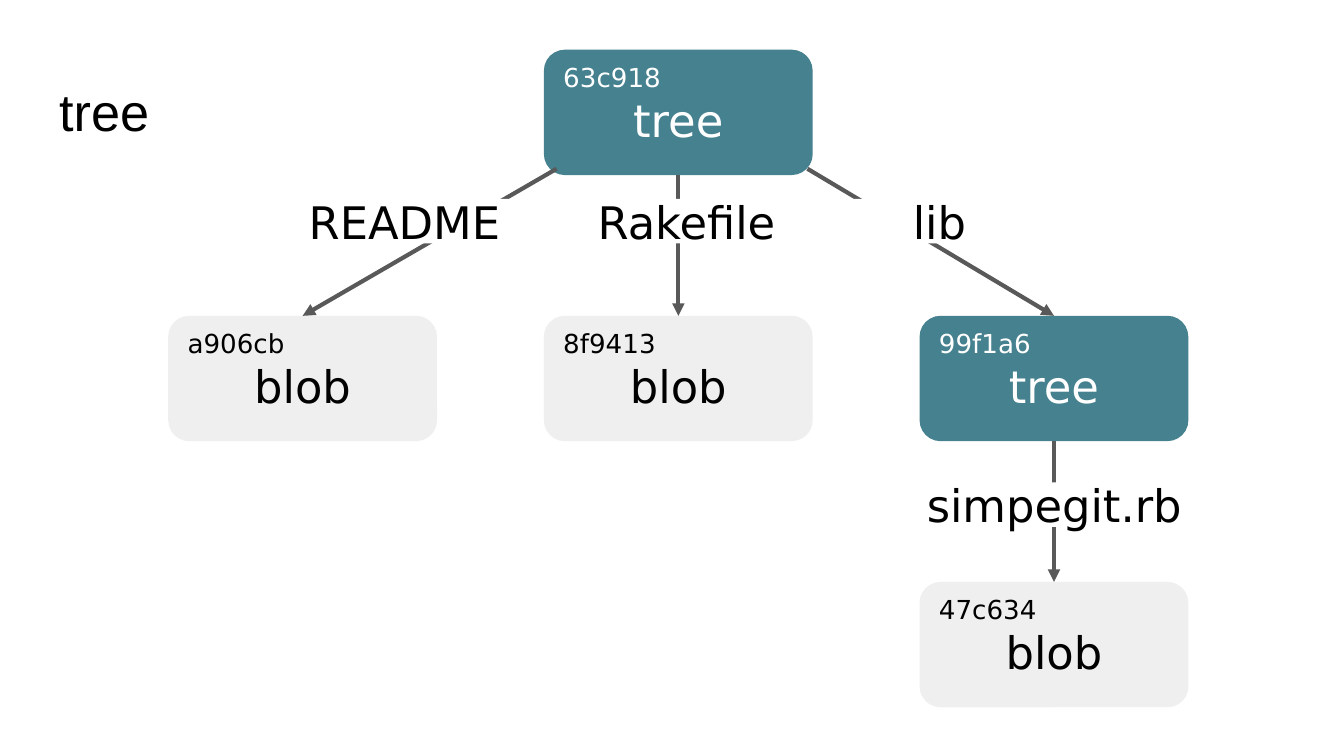
"""Build a slide showing a tree object that points to blobs and a subtree."""
from lxml.etree import SubElement
from pptx import Presentation
from pptx.dml.color import RGBColor
from pptx.enum.shapes import MSO_CONNECTOR as Connector, MSO_SHAPE as Shape
from pptx.enum.text import MSO_ANCHOR as Anchor, PP_ALIGN as Align
from pptx.oxml.ns import qn
from pptx.util import Cm, Pt

THEME = {
    "tree": RGBColor.from_string("45818E"),
    "blob": RGBColor.from_string("EFEFEF"),
    "white": RGBColor.from_string("FFFFFF"),
    "black": RGBColor.from_string("000000"),
    "arrow": RGBColor.from_string("595959"),
    "title_font": "Arial",
    "font": "DejaVu Sans",
    "title_size": Pt(28),
    "name_size": Pt(24),
    "hash_size": Pt(14),
    "arrow_width": Pt(2.25),
}
INSET = Cm(0.25)
BOX_WIDTH, BOX_HEIGHT = 5.08, 2.37
COLUMNS = [3.18 + 7.1 * column for column in range(3)]
ROWS = [0.94 + 5.03 * row for row in range(3)]


def format_paragraph(paragraph, size, color, align=Align.LEFT, font=THEME["font"]):
    paragraph.alignment = align
    for run in paragraph.runs:
        run.font.name = font
        run.font.size = size
        run.font.color.rgb = color


def add_filled_shape(kind, left, top, width, height, fill, text):
    shape = slide.shapes.add_shape(kind, Cm(left), Cm(top), Cm(width), Cm(height))
    shape.shadow.inherit = False
    shape.fill.solid()
    shape.fill.fore_color.rgb = fill
    shape.line.fill.background()
    frame = shape.text_frame
    frame.margin_left = frame.margin_right = INSET
    frame.margin_top = frame.margin_bottom = INSET
    frame.vertical_anchor = Anchor.MIDDLE
    frame.text = text
    return shape


presentation = Presentation()
presentation.slide_width = Cm(25.4)
presentation.slide_height = Cm(14.29)
slide = presentation.slides.add_slide(presentation.slide_layouts[6])

title = slide.shapes.add_textbox(Cm(0.87), Cm(1.24), Cm(23.67), Cm(1.6))
title_frame = title.text_frame
title_frame.word_wrap = True
title_frame.margin_left = title_frame.margin_right = INSET
title_frame.margin_top = title_frame.margin_bottom = INSET
title_frame.text = "tree"
format_paragraph(title_frame.paragraphs[0], THEME["title_size"], THEME["black"],
                 font=THEME["title_font"])

git_objects = [
    (1, 0, "63c918", "tree"),
    (0, 1, "a906cb", "blob"),
    (1, 1, "8f9413", "blob"),
    (2, 1, "99f1a6", "tree"),
    (2, 2, "47c634", "blob"),
]
for column, row, hash_text, kind in git_objects:
    box = add_filled_shape(Shape.ROUNDED_RECTANGLE, COLUMNS[column], ROWS[row],
                           BOX_WIDTH, BOX_HEIGHT, THEME[kind], f"{hash_text}\n{kind}")
    box.text_frame.vertical_anchor = Anchor.TOP
    box.text_frame.margin_top = Cm(0.11)
    box.text_frame.margin_bottom = 0
    color = THEME["white"] if kind == "tree" else THEME["black"]
    hash_paragraph, kind_paragraph = box.text_frame.paragraphs
    format_paragraph(hash_paragraph, THEME["hash_size"], color)
    format_paragraph(kind_paragraph, THEME["name_size"], color, Align.CENTER)

centers = [left + BOX_WIDTH / 2 for left in COLUMNS]
bottoms = [top + BOX_HEIGHT for top in ROWS]
arrows = [
    (COLUMNS[1] + 0.24, bottoms[0] - 0.12, centers[0], ROWS[1]),
    (centers[1], bottoms[0], centers[1], ROWS[1]),
    (COLUMNS[1] + BOX_WIDTH - 0.1, bottoms[0] - 0.12, centers[2], ROWS[1]),
    (centers[2], bottoms[1], centers[2], ROWS[2]),
]
for ends in arrows:
    arrow = slide.shapes.add_connector(Connector.STRAIGHT, *[Cm(end) for end in ends])
    arrow.line.color.rgb = THEME["arrow"]
    arrow.line.width = THEME["arrow_width"]
    SubElement(arrow.line._get_or_add_ln(), qn("a:tailEnd"), type="triangle")
    SubElement(arrow._element.spPr, qn("a:effectLst"))

file_labels = [
    (5.41, 3.76, 4.47, "README"),
    (10.74, 3.76, 4.47, "Rakefile"),
    (15.52, 3.76, 4.47, "lib"),
    (17.17, 9.12, 5.51, "simpegit.rb"),
]
for left, top, width, name in file_labels:
    label = add_filled_shape(Shape.RECTANGLE, left, top, width, 0.84, THEME["white"], name)
    format_paragraph(label.text_frame.paragraphs[0], THEME["name_size"], THEME["black"],
                     Align.CENTER)

presentation.save("out.pptx")
